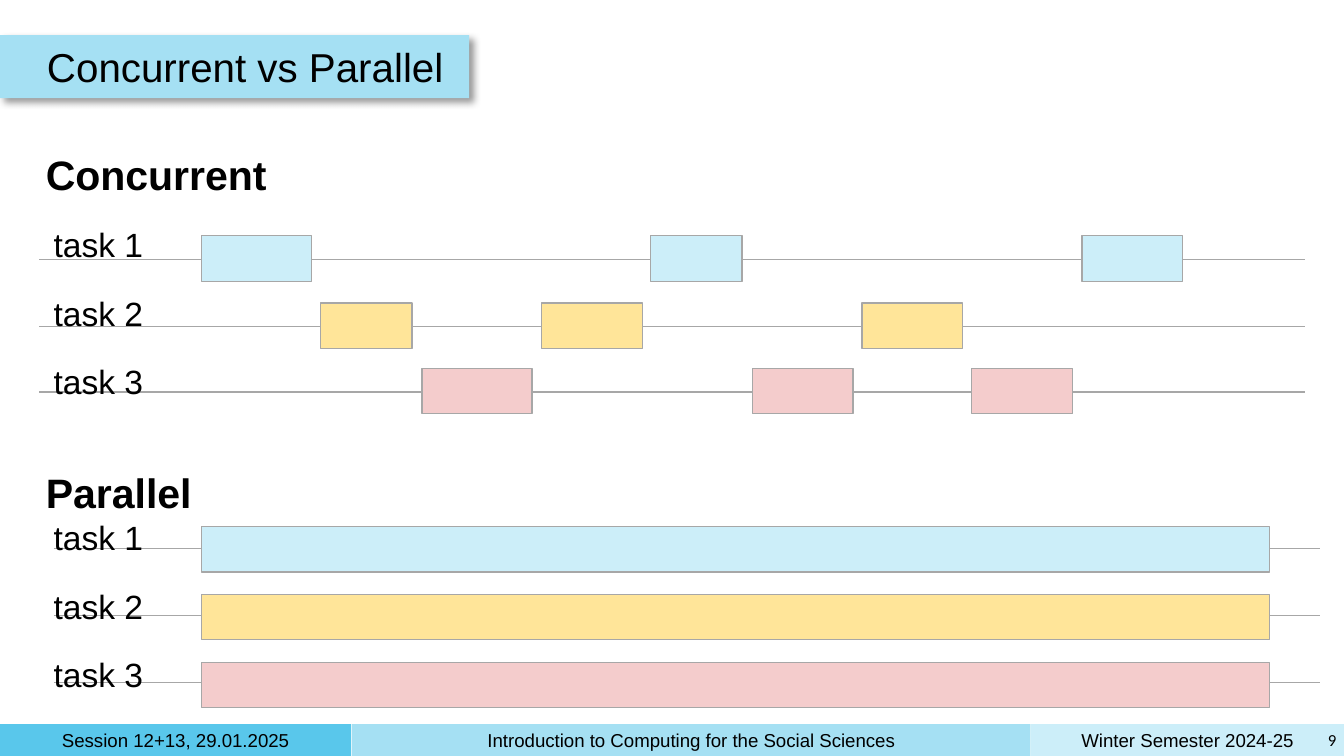
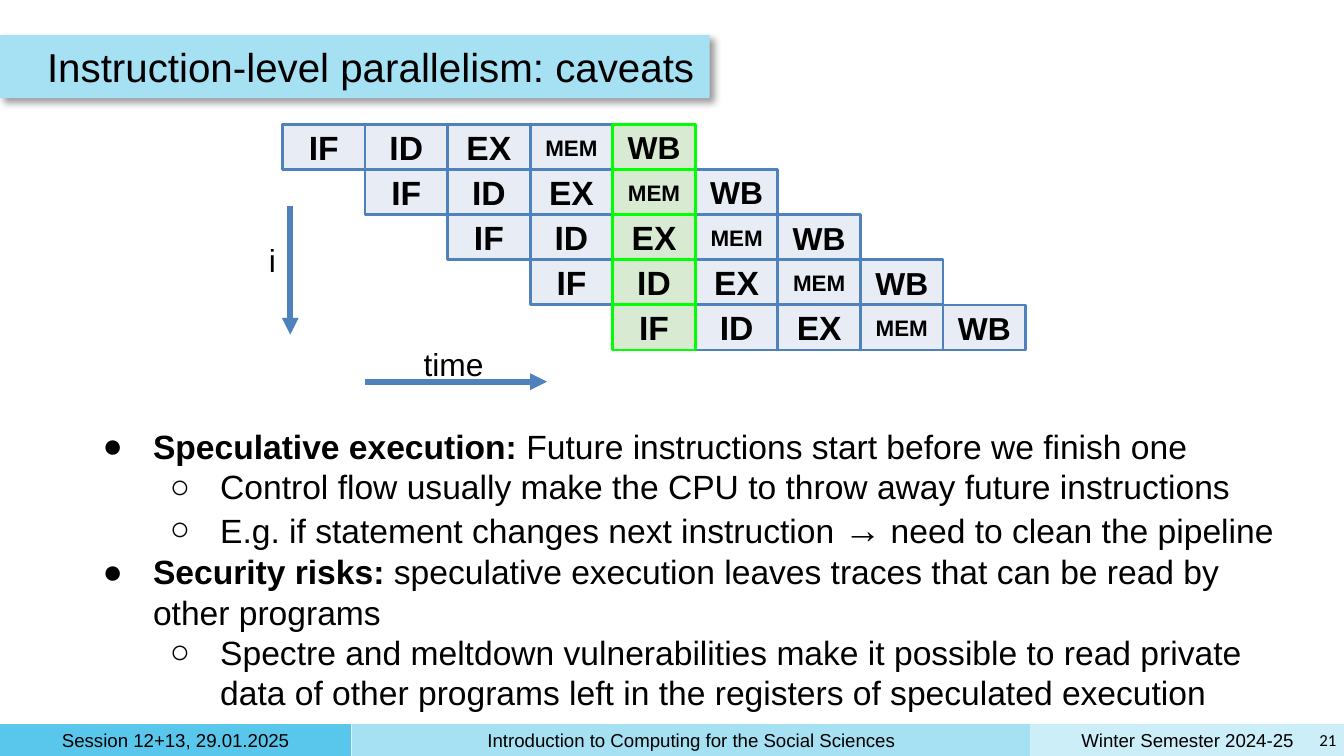
from pptx import Presentation
from pptx.dml.color import RGBColor
from pptx.enum.shapes import MSO_CONNECTOR, MSO_SHAPE
from pptx.enum.text import MSO_ANCHOR, PP_ALIGN
from pptx.oxml.ns import qn
from pptx.util import Pt
from lxml import etree

RECT, STRAIGHT = MSO_SHAPE.RECTANGLE, MSO_CONNECTOR.STRAIGHT
LEFT, CENTER, RIGHT = PP_ALIGN.LEFT, PP_ALIGN.CENTER, PP_ALIGN.RIGHT
TOP, MIDDLE = MSO_ANCHOR.TOP, MSO_ANCHOR.MIDDLE

COLORS = {
    "text": "000000", "strong": "59C7EB", "band": "A5E0F3", "pale": "CCEEF9",
    "yellow": "FFE599", "pink": "F4CCCC", "gray": "A7A7A7",
    "cell": "E8ECF4", "blue": "4F81BD", "mint": "D9EAD3", "green": "00FF00",
}
RGB = {name: RGBColor.from_string(value) for name, value in COLORS.items()}
FONT = "Arial"


def add_panel(slide, left, top, width, height, text="", size=18, fill=None, line=None,
              weight=0.75, bold=False, align=LEFT, anchor=TOP, inset=7.2, font=FONT):
    """Add a filled rectangle, or a plain text box when there is no fill."""
    area = Pt(left), Pt(top), Pt(width), Pt(height)
    if fill:
        panel = slide.shapes.add_shape(RECT, *area)
        panel.shadow.inherit = False
        panel.fill.solid()
        panel.fill.fore_color.rgb = RGB[fill]
        if line:
            panel.line.color.rgb = RGB[line]
            panel.line.width = Pt(weight)
        else:
            panel.line.fill.background()
    else:
        panel = slide.shapes.add_textbox(*area)
    frame = panel.text_frame
    frame.text = text
    frame.word_wrap = True
    frame.vertical_anchor = anchor
    frame.margin_left = frame.margin_right = Pt(inset)
    frame.margin_top = frame.margin_bottom = Pt(inset)
    for paragraph in frame.paragraphs:
        paragraph.alignment = align
        for run in paragraph.runs:
            run.font.name, run.font.size, run.font.bold = font, Pt(size), bold
            run.font.color.rgb = RGB["text"]
    return panel


def add_line(slide, x1, y1, x2, y2, color, weight, arrow=False):
    line = slide.shapes.add_connector(STRAIGHT, Pt(x1), Pt(y1), Pt(x2), Pt(y2))
    line.line.color.rgb = RGB[color]
    line.line.width = Pt(weight)
    properties = line._element.spPr
    if arrow:
        etree.SubElement(properties.find(qn("a:ln")), qn("a:tailEnd"), type="triangle")
    etree.SubElement(properties, qn("a:effectLst"))


prs = Presentation()
prs.slide_width, prs.slide_height = Pt(720), Pt(405)

# Shared frame: footer, page number and title band
FOOTER = [
    (552.2, 167.8, "pale", "Winter Semester 2024-25"),
    (0, 188, "strong", "Session 12+13, 29.01.2025"),
    (188.4, 363.6, "band", "Introduction to Computing for the Social Sciences"),
]
PAGES = [
    ("Concurrent vs Parallel", "9", 251.3, 225),
    ("Instruction-level parallelism: caveats", "21", 380.2, 380.2),
]
slides = []
for title, number, band_width, title_width in PAGES:
    slide = prs.slides.add_slide(prs.slide_layouts[6])
    for left, width, fill, text in FOOTER:
        add_panel(slide, left, 388, width, 17, text, 10, fill,
                  align=CENTER, anchor=MIDDLE, inset=3.6)
    add_panel(slide, 702, 387.4, 17.5, 18, number, 9,
              align=RIGHT, anchor=MIDDLE, inset=3.6, font="Calibri")
    band = add_panel(slide, 0, 18.8, band_width, 33.8, fill="band")
    shadow = etree.SubElement(band._element.spPr.find(qn("a:effectLst")), qn("a:outerShdw"),
                              blurRad=str(Pt(4)), dist=str(Pt(3)), dir="2700000",
                              algn="tl", rotWithShape="0")
    shade = etree.SubElement(shadow, qn("a:srgbClr"), val=COLORS["text"])
    etree.SubElement(shade, qn("a:alpha"), val="40000")
    add_panel(slide, 21.6, 18.8, title_width, 33.8, title, 21.6, anchor=MIDDLE, inset=3.6)
    slides.append(slide)
timeline, pipeline = slides

# Slide 1: headings
headings = add_panel(timeline, 21, 76.3, 678, 206, "Concurrent\nParallel", 22,
                     bold=True, inset=3.6)
headings.text_frame.paragraphs[1].space_before = Pt(144)

# Slide 1: time slots (left, width) of each task, first taking turns, then side by side
BAR_HEIGHT = 24.4
TASKS = [
    ("pale", 139, [(108, 59), (348.5, 49), (579.6, 54)]),
    ("yellow", 175, [(171.8, 49), (290.2, 54), (461.7, 54)]),
    ("pink", 210, [(226, 59), (403, 54), (520.6, 54)]),
]
for index, (color, axis, slots) in enumerate(TASKS):
    add_line(timeline, 21, axis, 699, axis, "gray", 0.75)
    for left, width in slots:
        add_panel(timeline, left, axis - 12.7, width, BAR_HEIGHT, fill=color, line="gray")

    parallel_axis = 293.8 + 36 * index
    add_line(timeline, 28.8, parallel_axis, 707, parallel_axis, "gray", 0.75)
    add_panel(timeline, 108, 282 + 36.4 * index, 572, BAR_HEIGHT, fill=color, line="gray")

    for first_top in (113, 270):
        add_panel(timeline, 21.6, first_top + 36.5 * index, 76, 36, f"task {index + 1}")

# Slide 2: pipeline stages, one step later per instruction; the full column goes on top
STAGES = [("IF", 18), ("ID", 18), ("EX", 18), ("MEM", 12), ("WB", 17)]
CELL_WIDTH, CELL_HEIGHT = 44.24, 24.15
FULL_STEP = len(STAGES) - 1
for full, fill, line in [(False, "cell", "blue"), (True, "mint", "green")]:
    for row in range(len(STAGES)):
        for stage, (name, size) in enumerate(STAGES):
            step = row + stage
            if (step == FULL_STEP) == full:
                add_panel(pipeline, 151.3 + CELL_WIDTH * step, 66.8 + CELL_HEIGHT * row,
                          CELL_WIDTH, CELL_HEIGHT, name, size, fill, line, 1.5,
                          bold=True, align=CENTER, anchor=MIDDLE)

# Slide 2: axes
add_line(pipeline, 155.5, 110.2, 155.5, 179.3, "blue", 3, arrow=True)
add_line(pipeline, 195.8, 204.5, 293, 204.5, "blue", 3, arrow=True)
add_panel(pipeline, 137, 121.7, 23, 35, "i", 17)
add_panel(pipeline, 219.8, 177.3, 49, 35, "time", 17)

# Slide 2: caveats as (level, [(text, size, bold)])
CAVEATS = [
    (0, [("Speculative execution:", 18, True),
         (" Future instructions start before we finish one", 18, False)]),
    (1, [("Control flow usually make the CPU to throw away future instructions", 18, False)]),
    (1, [("E.g. if statement changes next instruction ", 18, False), ("→", 20, False),
         (" need to clean the pipeline", 18, False)]),
    (0, [("Security risks: ", 18, True),
         ("speculative execution leaves traces that can be read by other programs", 18, False)]),
    (1, [("Spectre and meltdown vulnerabilities make it possible to read private data of "
          "other programs left in the registers of speculated execution", 18, False)]),
]
caveats = add_panel(pipeline, 38.9, 221, 653.8, 170).text_frame
for index, (level, parts) in enumerate(CAVEATS):
    paragraph = caveats.add_paragraph() if index else caveats.paragraphs[0]
    paragraph.level = level
    properties = paragraph._p.get_or_add_pPr()
    properties.set("marL", str(Pt(36 * (level + 1))))
    properties.set("indent", str(Pt(-27)))
    bullet_color = etree.SubElement(properties, qn("a:buClr"))
    etree.SubElement(bullet_color, qn("a:srgbClr"), val=COLORS["text"])
    etree.SubElement(properties, qn("a:buFont"), typeface=FONT)
    etree.SubElement(properties, qn("a:buChar"), char="●○"[level])
    for text, size, bold in parts:
        run = paragraph.add_run()
        run.text = text
        run.font.name, run.font.size, run.font.bold = FONT, Pt(size), bold
        run.font.color.rgb = RGB["text"]

prs.save("out.pptx")
